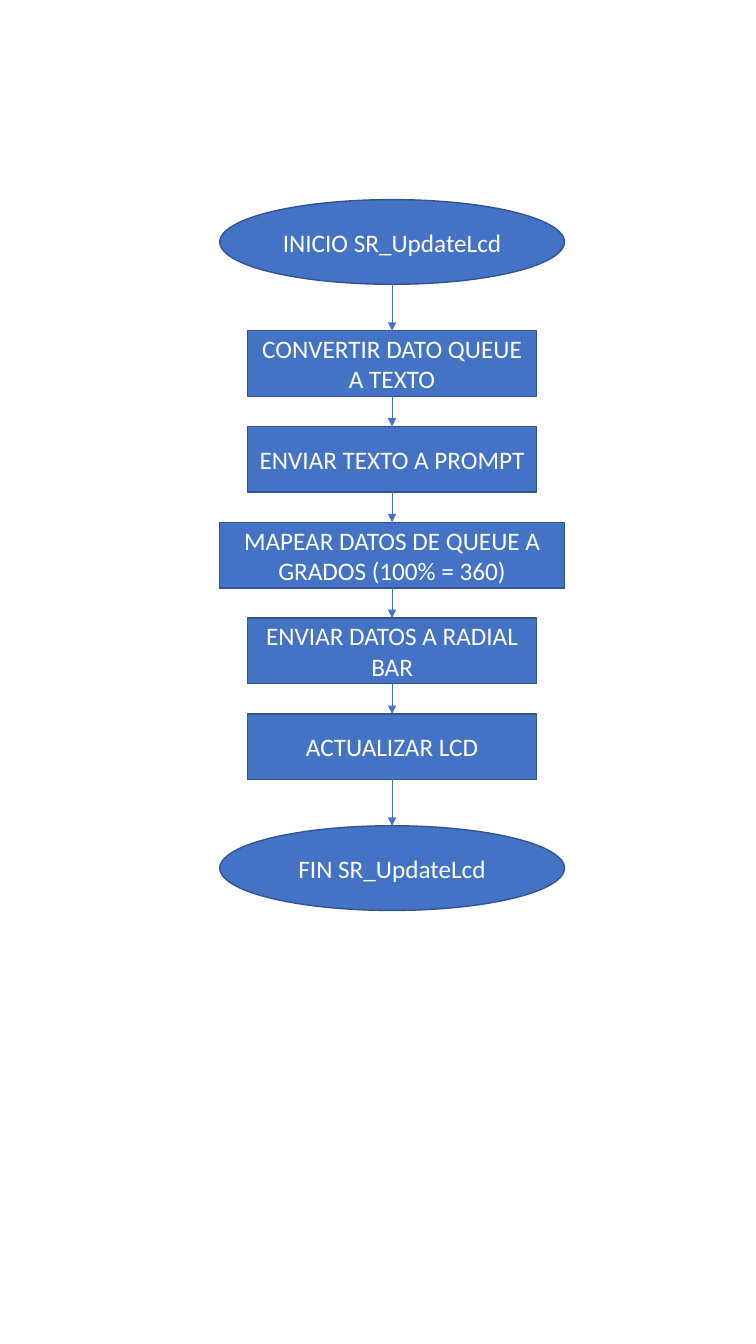
from dataclasses import dataclass

from lxml.etree import SubElement
from pptx import Presentation
from pptx.dml.color import RGBColor
from pptx.enum.shapes import MSO_CONNECTOR, MSO_SHAPE as Shape
from pptx.enum.text import MSO_ANCHOR, PP_ALIGN
from pptx.oxml.ns import qn
from pptx.shapes.autoshape import Shape as AutoShape
from pptx.shapes.connector import Connector
from pptx.slide import Slide
from pptx.util import Inches, Pt


@dataclass(frozen=True)
class Theme:
    fill: RGBColor = RGBColor(0x44, 0x72, 0xC4)
    outline: RGBColor = RGBColor(0x32, 0x54, 0x91)
    text: RGBColor = RGBColor(0xFF, 0xFF, 0xFF)
    font: str = "Calibri"
    size: Pt = Pt(18)
    outline_width: Pt = Pt(1)
    arrow_width: Pt = Pt(0.5)


@dataclass(frozen=True)
class Step:
    text: str
    kind: Shape
    width: float
    height: float
    gap: float = 0.3  # space below, in inches


THEME = Theme()
CENTER_X, FIRST_TOP = 3.89, 1.98
WIDE, NARROW = 3.42, 2.87
OVAL_H, BOX_H = 0.84, 0.65
END_GAP = 0.46  # space next to the start and end ovals
TOP_SITE, BOX_BOTTOM_SITE = 0, 2

STEPS = [
    Step("INICIO SR_UpdateLcd", Shape.OVAL, WIDE, OVAL_H, END_GAP),
    Step("CONVERTIR DATO QUEUE A TEXTO", Shape.RECTANGLE, NARROW, BOX_H),
    Step("ENVIAR TEXTO A PROMPT", Shape.FLOWCHART_PROCESS, NARROW, BOX_H),
    Step("MAPEAR DATOS DE QUEUE A GRADOS (100% = 360)",
         Shape.FLOWCHART_PROCESS, WIDE, BOX_H),
    Step("ENVIAR DATOS A RADIAL BAR", Shape.FLOWCHART_PROCESS, NARROW, BOX_H),
    Step("ACTUALIZAR LCD", Shape.RECTANGLE, NARROW, BOX_H, END_GAP),
    Step("FIN SR_UpdateLcd", Shape.OVAL, WIDE, OVAL_H),
]


def add_step(slide: Slide, step: Step, top: float) -> AutoShape:
    sp = slide.shapes.add_shape(
        step.kind, Inches(CENTER_X - step.width / 2), Inches(top),
        Inches(step.width), Inches(step.height))
    sp.shadow.inherit = False
    sp.fill.solid()
    sp.fill.fore_color.rgb = THEME.fill
    sp.line.color.rgb = THEME.outline
    sp.line.width = THEME.outline_width

    tf = sp.text_frame
    tf.word_wrap = True
    tf.vertical_anchor = MSO_ANCHOR.MIDDLE
    p = tf.paragraphs[0]
    p.alignment = PP_ALIGN.CENTER
    r = p.add_run()
    r.text = step.text
    r.font.name = THEME.font
    r.font.size = THEME.size
    r.font.color.rgb = THEME.text
    return sp


def add_arrow(slide: Slide, upper: AutoShape, lower: AutoShape) -> Connector:
    x = Inches(CENTER_X)
    arrow = slide.shapes.add_connector(
        MSO_CONNECTOR.STRAIGHT, x, upper.top + upper.height, x, lower.top)
    # An oval's bottom site is outside the range begin_connect supports
    if upper.auto_shape_type != Shape.OVAL:
        arrow.begin_connect(upper, BOX_BOTTOM_SITE)
    arrow.end_connect(lower, TOP_SITE)
    arrow.line.color.rgb = THEME.fill
    arrow.line.width = THEME.arrow_width
    SubElement(arrow.line._get_or_add_ln(), qn("a:tailEnd"), type="triangle")
    SubElement(arrow._element.spPr, qn("a:effectLst"))
    return arrow


# Portrait slide with a blank layout
prs = Presentation()
prs.slide_width, prs.slide_height = Inches(7.5), Inches(13.33)
slide = prs.slides.add_slide(prs.slide_layouts[6])

# Steps, stacked from top to bottom
boxes: list[AutoShape] = []
top = FIRST_TOP
for step in STEPS:
    boxes.append(add_step(slide, step, top))
    top += step.height + step.gap

# Arrows between neighbouring steps
for upper, lower in zip(boxes, boxes[1:]):
    add_arrow(slide, upper, lower)

prs.save("out.pptx")
